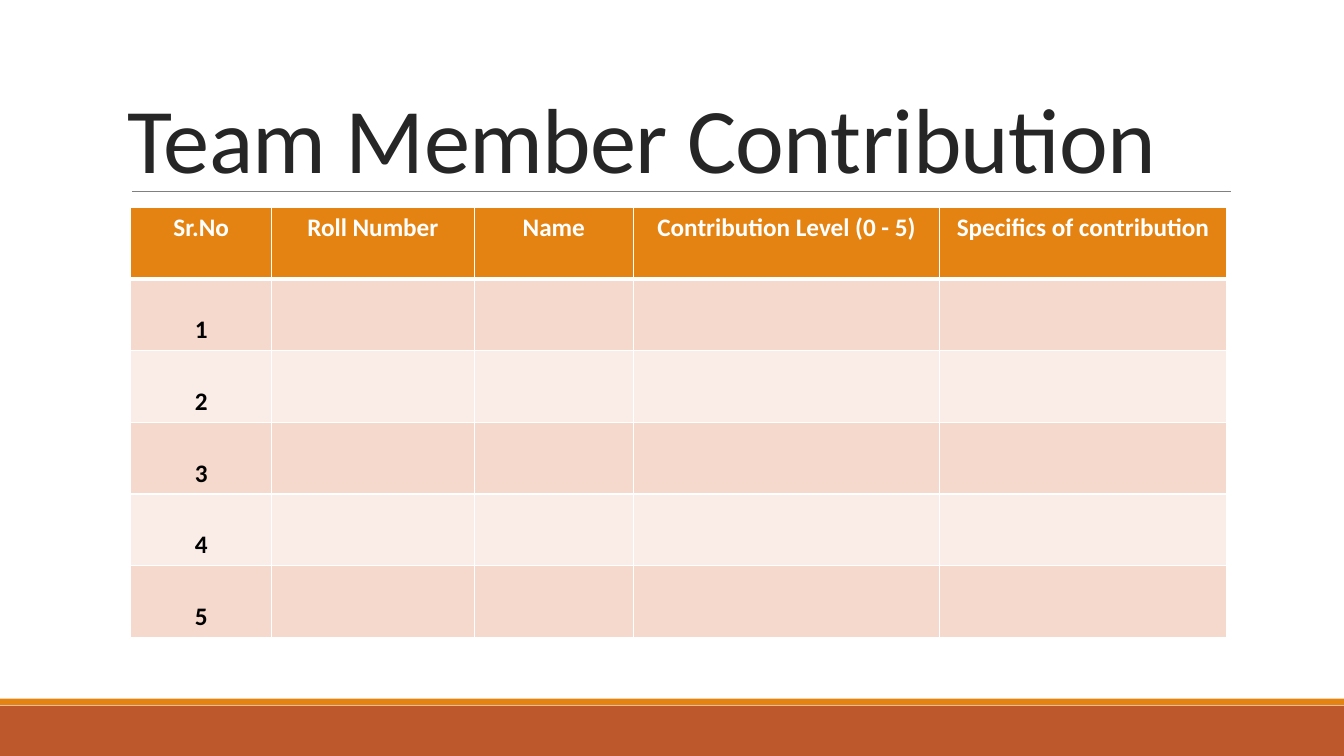
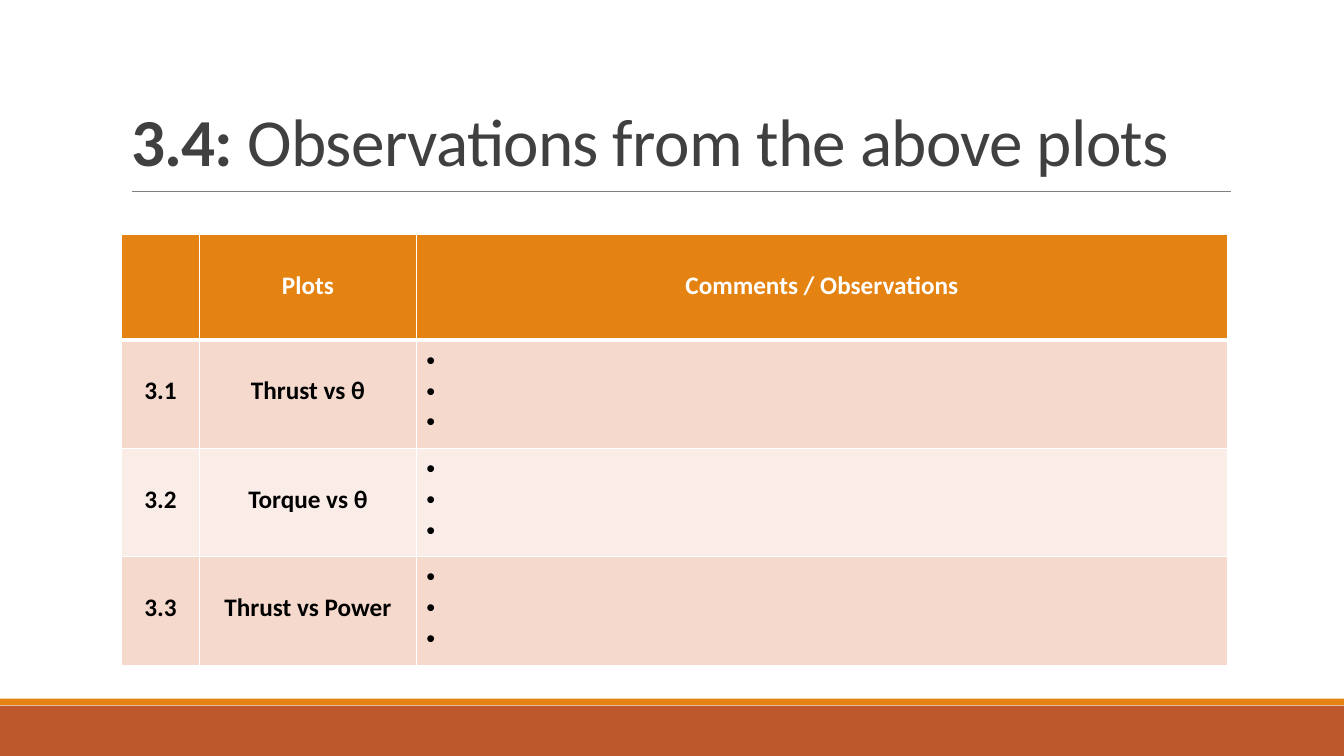
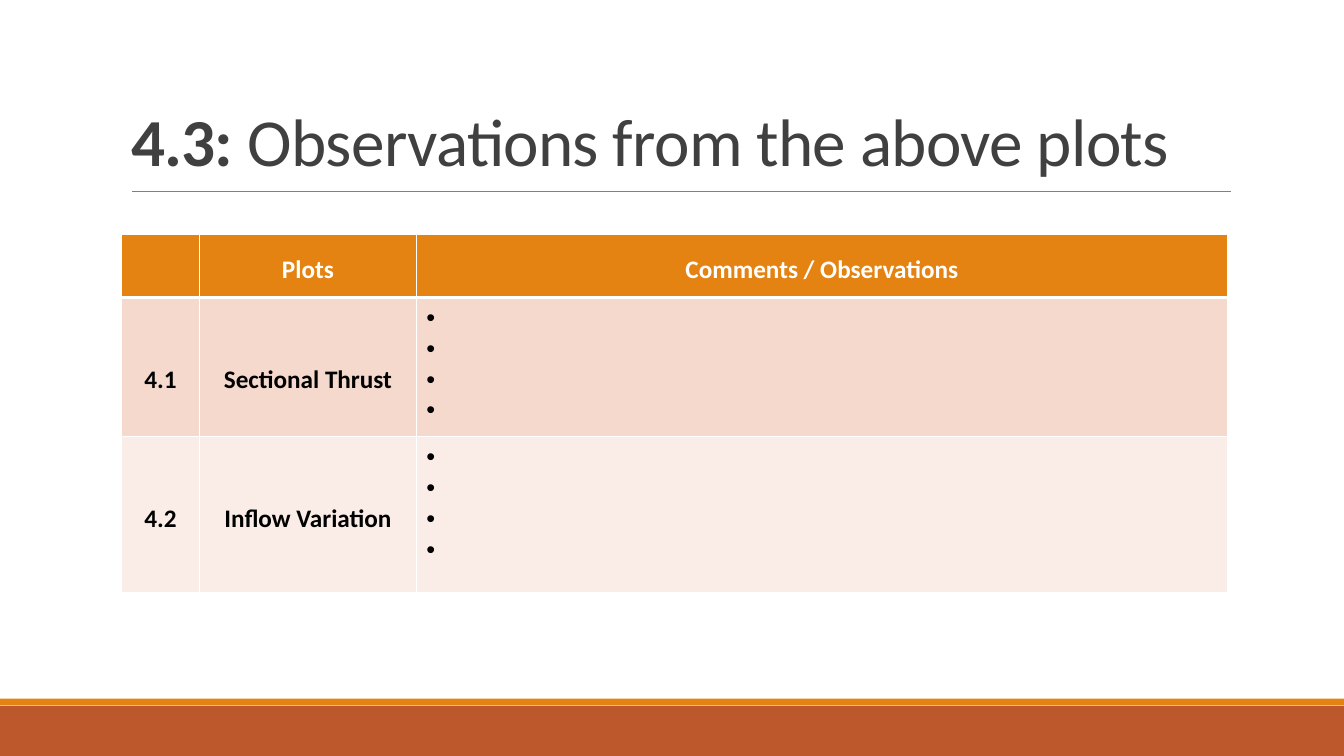
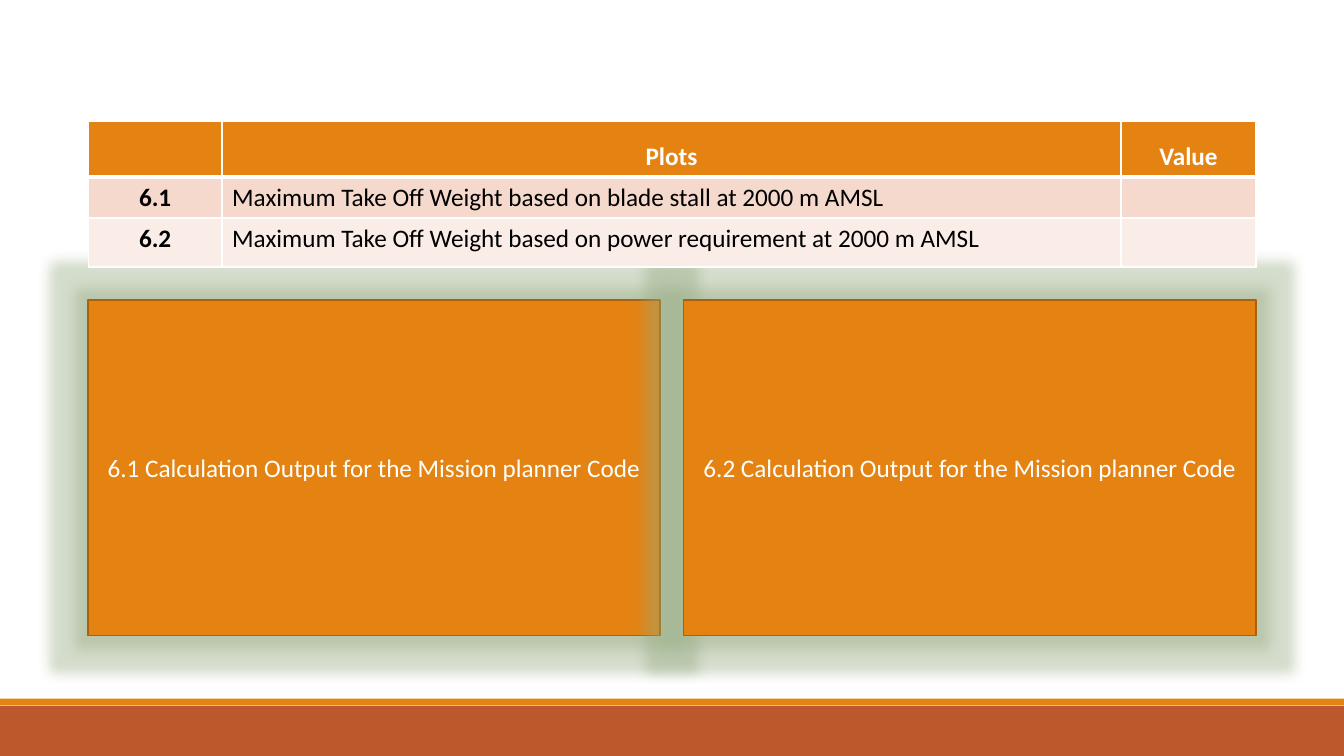
from dataclasses import dataclass

from lxml import etree
from pptx import Presentation
from pptx.dml.color import RGBColor
from pptx.enum.shapes import MSO_CONNECTOR, MSO_SHAPE
from pptx.enum.text import MSO_ANCHOR, MSO_AUTO_SIZE, PP_ALIGN
from pptx.oxml.ns import qn
from pptx.util import Pt

LEFT, CENTER = PP_ALIGN.LEFT, PP_ALIGN.CENTER
BOTTOM, MIDDLE = MSO_ANCHOR.BOTTOM, MSO_ANCHOR.MIDDLE
RECTANGLE = MSO_SHAPE.RECTANGLE
STRAIGHT = MSO_CONNECTOR.STRAIGHT
NO_AUTOFIT = MSO_AUTO_SIZE.NONE
TITLE_ONLY, BLANK = 5, 6
WIDTH, HEIGHT = 960, 540


@dataclass(frozen=True)
class Theme:
    font: str = "Calibri"
    body_size: float = 18
    title_size: float = 48
    large_title_size: float = 66
    accent: str = "E48312"
    accent_edge: str = "A9610D"
    band: str = "BD582C"
    rule: str = "808080"
    title: str = "404040"
    dark_title: str = "262626"
    text: str = "000000"
    white: str = "FFFFFF"
    odd_row: str = "F5D9CC"
    even_row: str = "FAEDE7"
    glow: str = "94A97F"


def color(value):
    return RGBColor.from_string(value)


class Deck:
    def __init__(self, theme):
        self.theme = theme
        self.presentation = Presentation()
        self.presentation.slide_width = Pt(WIDTH)
        self.presentation.slide_height = Pt(HEIGHT)
        self.slide = None

    def new_slide(self, layout=TITLE_ONLY):
        """Start a slide with the two bands at its foot."""
        layouts = self.presentation.slide_layouts
        self.slide = self.presentation.slides.add_slide(layouts[layout])
        for placeholder in list(self.slide.placeholders):
            if placeholder != self.slide.shapes.title:
                placeholder.element.getparent().remove(placeholder.element)
        self.rectangle(0, 504, WIDTH, 36, self.theme.band)
        self.rectangle(0, 499, WIDTH, 4.75, self.theme.accent)

    def style(self, paragraph, size, value, bold=None, align=CENTER, spacing=None):
        paragraph.alignment = align
        paragraph.line_spacing = spacing
        font = paragraph.font
        font.name, font.size, font.bold = self.theme.font, Pt(size), bold
        font.color.rgb = color(value)

    def rectangle(self, left, top, width, height, fill):
        shape = self.slide.shapes.add_shape(
            RECTANGLE, Pt(left), Pt(top), Pt(width), Pt(height))
        shape.shadow.inherit = False
        shape.fill.solid()
        shape.fill.fore_color.rgb = color(fill)
        shape.line.fill.background()
        return shape

    def title(self, parts, box, size, value):
        """Place the title; parts are (text, bold) pairs."""
        shape = self.slide.shapes.title
        shape.left, shape.top, shape.width, shape.height = map(Pt, box)
        frame = shape.text_frame
        frame.word_wrap = True
        frame.auto_size = NO_AUTOFIT
        frame.vertical_anchor = BOTTOM
        paragraph = frame.paragraphs[0]
        self.style(paragraph, size, value, align=LEFT, spacing=0.85)
        for text, bold in parts:
            run = paragraph.add_run()
            run.text = text
            run.font.bold = bold
            run.font._element.set("spc", "-50")
        self.title_rule()

    def title_rule(self):
        line = self.slide.shapes.add_connector(
            STRAIGHT, Pt(94.3), Pt(136.8), Pt(879), Pt(136.8))
        line.line.color.rgb = color(self.theme.rule)
        line.line.width = Pt(0.5)
        etree.SubElement(line.element.spPr, qn("a:effectLst"))

    def borders(self, cell, top, bottom):
        properties = cell._tc.get_or_add_tcPr()
        for side, width in (("L", 1), ("R", 1), ("T", top), ("B", bottom)):
            line = etree.SubElement(properties, qn(f"a:ln{side}"), w=str(Pt(width)))
            fill = etree.SubElement(line, qn("a:solidFill"))
            etree.SubElement(fill, qn("a:srgbClr"), val=self.theme.white)

    def table(self, left, top, widths, heights, rows,
              header_spacing=None, body_spacing=None, plain_columns=()):
        """Draw a header row and banded body; plain columns are left-aligned."""
        theme = self.theme
        table = self.slide.shapes.add_table(
            len(rows), len(widths), Pt(left), Pt(top),
            Pt(sum(widths)), Pt(sum(heights))).table
        for column, width in zip(table.columns, widths):
            column.width = Pt(width)
        for i, (height, texts) in enumerate(zip(heights, rows)):
            header = i == 0
            table.rows[i].height = Pt(height)
            fill = theme.accent if header else (theme.even_row, theme.odd_row)[i % 2]
            for j, cell in enumerate(table.rows[i].cells):
                self.borders(cell, 3 if i == 1 else 1, 3 if header else 1)
                cell.fill.solid()
                cell.fill.fore_color.rgb = color(fill)
                if j >= len(texts) or not texts[j]:
                    continue
                plain = j in plain_columns and not header
                cell.text = texts[j]
                self.style(cell.text_frame.paragraphs[0], theme.body_size,
                           theme.white if header else theme.text,
                           bold=not plain, align=LEFT if plain else CENTER,
                           spacing=header_spacing if header else body_spacing)
        return table

    def open_bullets(self, cell, count):
        """Bullets left open for notes; a bullet is drawn only beside a run."""
        frame = cell.text_frame
        for i in range(count):
            paragraph = frame.add_paragraph() if i else frame.paragraphs[0]
            paragraph.add_run().text = " "
            self.style(paragraph, self.theme.body_size, self.theme.text, align=LEFT)
            properties = paragraph._p.get_or_add_pPr()
            properties.set("marL", str(Pt(22.5)))
            properties.set("indent", str(-Pt(22.5)))
            font = etree.Element(qn("a:buFont"), typeface="Arial")
            bullet = etree.Element(qn("a:buChar"), char="•")
            properties.insert(0, font)
            font.addnext(bullet)

    def glowing_panel(self, left, top, width, height, text):
        theme = self.theme
        shape = self.rectangle(left, top, width, height, theme.accent)
        shape.line.color.rgb = color(theme.accent_edge)
        shape.line.width = Pt(1.25)
        effects = shape.element.spPr.find(qn("a:effectLst"))
        glow = etree.SubElement(effects, qn("a:glow"), rad=str(Pt(18)))
        tint = etree.SubElement(glow, qn("a:srgbClr"), val=theme.glow)
        etree.SubElement(tint, qn("a:alpha"), val="40000")
        frame = shape.text_frame
        frame.word_wrap = True
        frame.vertical_anchor = MIDDLE
        frame.text = text
        self.style(frame.paragraphs[0], theme.body_size, theme.white)

    def observations(self, number, heights, plots, bullets, header_spacing, body_spacing):
        """A slide of plots with room for comments on each."""
        self.new_slide()
        self.title([(f"{number}: ", True), ("Observations from the above plots", False)],
                   (86.4, 52.5, 790.5, 80), self.theme.title_size, self.theme.title)
        table = self.table(86.8, 167.5, (55.8, 154.8, 579.4), heights,
                           [("", "Plots", "Comments / Observations"), *plots],
                           header_spacing, body_spacing)
        for i in range(1, len(plots) + 1):
            self.open_bullets(table.cell(i, 2), bullets)


def main():
    theme = Theme()
    deck = Deck(theme)

    # Team contribution
    deck.new_slide()
    deck.title([("Team Member Contribution", False)], (84.2, 51, 792, 90),
               theme.large_title_size, theme.dark_title)
    headings = ("Sr.No", "Roll Number", "Name", "Contribution Level (0 - 5)",
                "Specifics of contribution")
    deck.table(93.4, 148.4, (100.6, 144.8, 113.6, 219, 204.5), [51] * 6,
               [headings, *((str(n),) for n in range(1, 6))], body_spacing=2)

    # Observations
    deck.observations("3.4", [75.5] + [77.4] * 3,
                      [("3.1", "Thrust vs θ"), ("3.2", "Torque vs θ"),
                       ("3.3", "Thrust vs Power")], 3, 2, 2)
    deck.observations("4.3", [45, 99.5, 111],
                      [("4.1", "Sectional Thrust"), ("4.2", "Inflow Variation")],
                      4, 1.5, 3)

    # Take-off weight
    deck.new_slide(BLANK)
    panel_left, panel_width, gap = 62.7, 408.8, 16.8
    for i, number in enumerate(("6.1", "6.2")):
        deck.glowing_panel(panel_left + i * (panel_width + gap), 214.4, panel_width, 239.5,
                           f"{number} Calculation Output for the Mission planner Code")
    basis = "Maximum Take Off Weight based on {} at 2000 m AMSL"
    deck.table(63, 86.4, (95.6, 642.2, 96.4), (40, 29, 35),
               [("", "Plots", "Value"),
                ("6.1", basis.format("blade stall")),
                ("6.2", basis.format("power requirement"))],
               header_spacing=1.5, plain_columns=(1,))

    deck.presentation.save("out.pptx")


if __name__ == "__main__":
    main()
